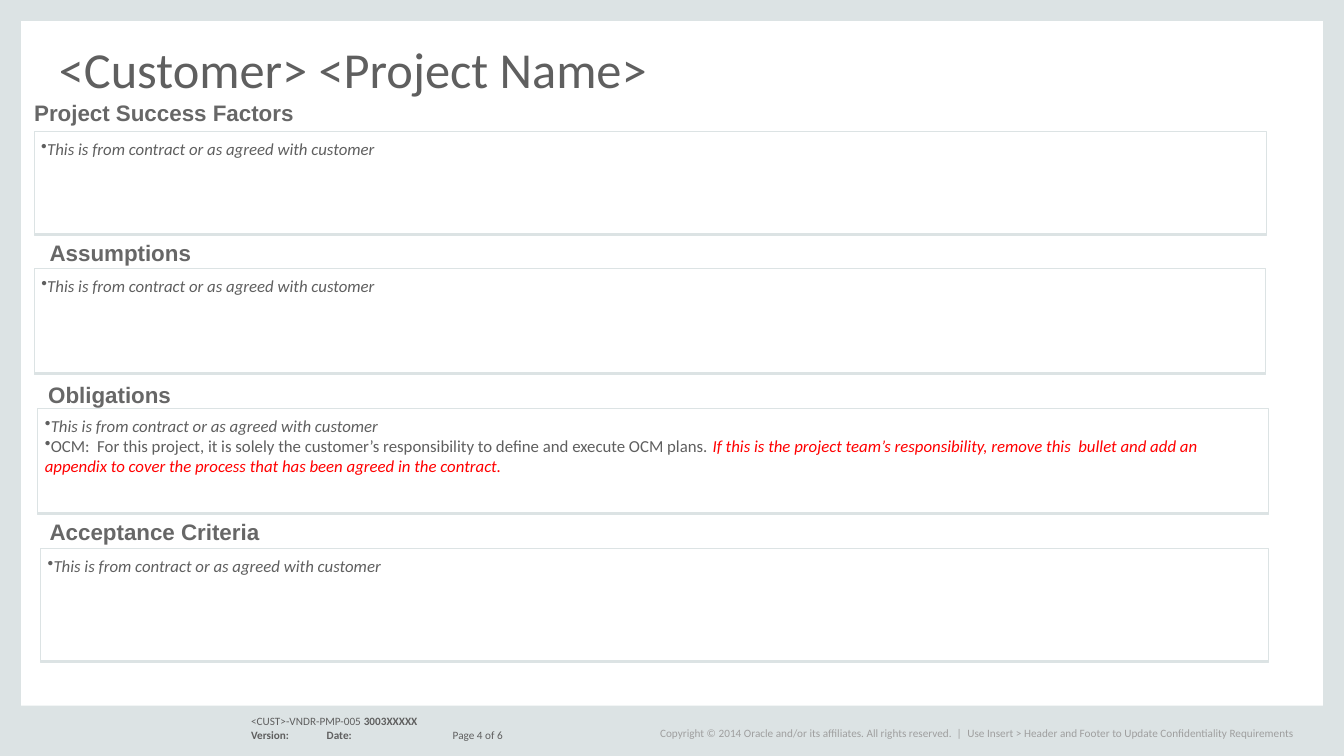
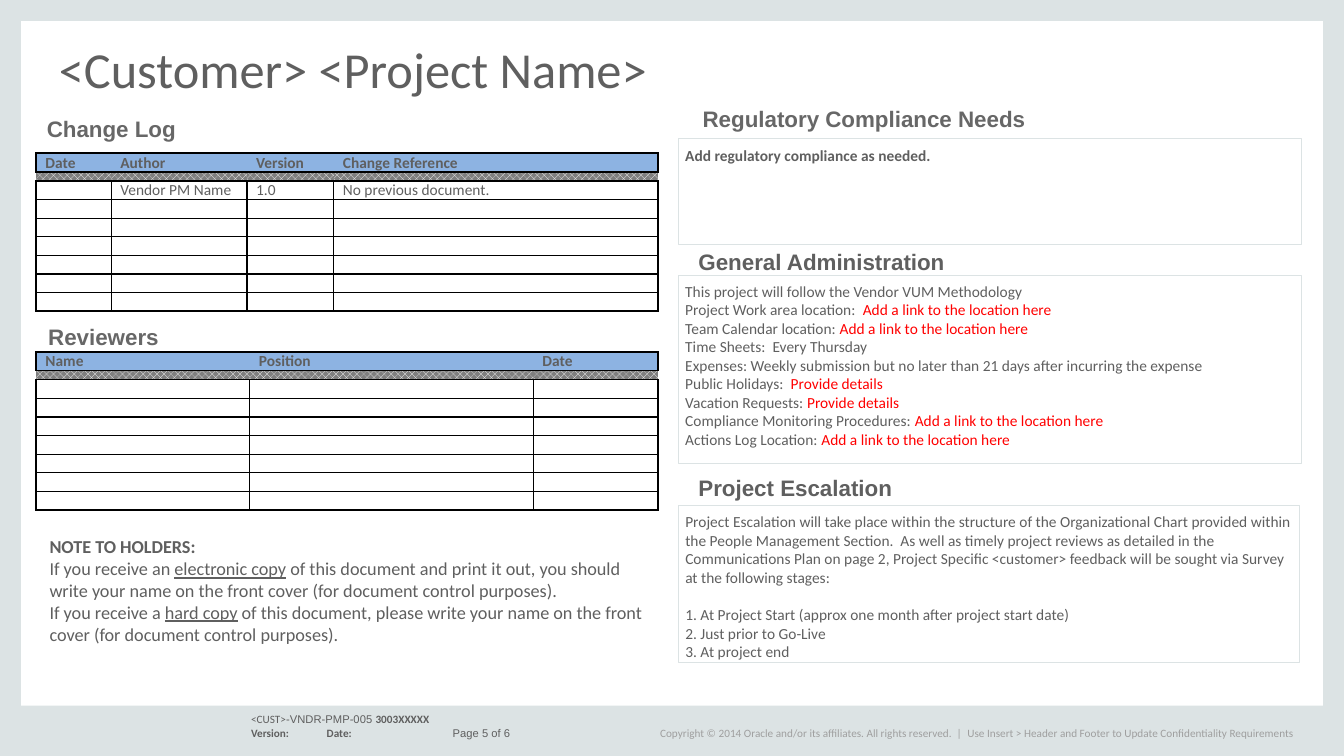
from lxml import etree
from pptx import Presentation
from pptx.dml.color import RGBColor
from pptx.enum.dml import MSO_PATTERN
from pptx.enum.shapes import MSO_SHAPE
from pptx.enum.text import MSO_ANCHOR
from pptx.oxml.ns import qn
from pptx.util import Pt

RECTANGLE = MSO_SHAPE.RECTANGLE
TOP, MIDDLE, BOTTOM = MSO_ANCHOR.TOP, MSO_ANCHOR.MIDDLE, MSO_ANCHOR.BOTTOM
HALF_TONE = MSO_PATTERN.PERCENT_50
BLANK_LAYOUT = 6


def rgb(value):
    return RGBColor.from_string(value)


def format_run(run, size, font, color, bold=False, italic=False, underline=False):
    run.font.size = Pt(size)
    run.font.name = font
    run.font.color.rgb = rgb(color)
    run.font.bold = bold
    run.font.italic = italic
    run.font.underline = underline


def write(frame, paragraphs, bullet=None, tabs=(), gaps=None, line_spacing=None, **style):
    """Each paragraph is a string or a list of strings and (text, overrides) pairs."""
    for index, runs in enumerate(paragraphs):
        paragraph = frame.paragraphs[0] if index == 0 else frame.add_paragraph()
        properties = paragraph._p.get_or_add_pPr()
        if bullet:
            properties.set("marL", "0")
            properties.set("indent", "0")
            etree.SubElement(properties, qn("a:buChar"), char=bullet)
        if tabs:
            tab_list = etree.SubElement(properties, qn("a:tabLst"))
            for position in tabs:
                etree.SubElement(tab_list, qn("a:tab"), pos=str(Pt(position)), algn="l")
        if line_spacing:
            paragraph.line_spacing = line_spacing
        if gaps and index in gaps:
            paragraph.space_before = Pt(gaps[index])
        for part in [runs] if isinstance(runs, str) else runs:
            text, overrides = (part, {}) if isinstance(part, str) else part
            run = paragraph.add_run()
            run.text = text
            format_run(run, **{**style, **overrides})


def set_borders(cell, left, right, top, bottom):
    properties = cell._tc.get_or_add_tcPr()
    sides = {"a:lnL": left, "a:lnR": right, "a:lnT": top, "a:lnB": bottom}
    for index, (tag, width) in enumerate(sides.items()):
        line = etree.Element(qn(tag), w=str(Pt(width)))
        if width:
            fill = etree.SubElement(line, qn("a:solidFill"))
            etree.SubElement(fill, qn("a:srgbClr"), val="000000")
        else:
            etree.SubElement(line, qn("a:noFill"))
        properties.insert(index, line)


class Deck:
    BODY_FONT, HEADING_FONT = "Calibri", "Arial"
    TEXT, HEADING, MUTED, RED = "5F5F5F", "676767", "9F9F9F", "FF0000"
    BAND, WHITE, TABLE_HEAD, HATCH = "DCE3E4", "FFFFFF", "8DB3E2", "7F7F7F"
    WIDTH, HEIGHT = 960, 540
    ROW, DIVIDER_ROW = 13.3, 6.5
    THIN, THICK = 1, 1.5

    def __init__(self):
        self.presentation = Presentation()
        self.presentation.slide_width = Pt(self.WIDTH)
        self.presentation.slide_height = Pt(self.HEIGHT)
        self.slide = None

    def new_slide(self, title, page, **footer):
        layout = self.presentation.slide_layouts[BLANK_LAYOUT]
        self.slide = self.presentation.slides.add_slide(layout)
        self.frame_bands()
        self.text(42, 0, 876, 70, [title], size=36, anchor=BOTTOM, line_spacing=0.8)
        self.footer(page, **footer)

    # Frame and footer
    def frame_bands(self):
        side, foot = 15, 36
        for area in ((0, 0, side, self.HEIGHT),
                     (self.WIDTH - side, 0, side, self.HEIGHT),
                     (0, self.HEIGHT - foot, self.WIDTH, foot),
                     (0, 0, self.WIDTH, side)):
            self.rectangle(*area, self.BAND)

    def footer(self, page, top, code_font):
        light = {"font": code_font, "bold": False}
        self.text(170, top, 304, 29, [
            [("<CUST>", {"bold": False}), ("-VNDR-PMP-005 ", light), "3003XXXXX"],
            ["Version:\tDate:\t", (f"Page {page} of 6", light)],
        ], size=8, bold=True, inset=(9.4, 5), tabs=(54, 144))
        for left, width, text in (
                (471.5, 219, "Copyright © 2014 Oracle and/or its affiliates. All rights reserved.  |"),
                (691, 245, "Use Insert > Header and Footer to Update Confidentiality Requirements")):
            self.text(left, 516.5, width, 14, [text], size=8, color=self.MUTED, anchor=MIDDLE)

    # Text and shapes
    def fill_frame(self, frame, paragraphs, inset=(0, 0), anchor=TOP, **style):
        frame.word_wrap = True
        frame.vertical_anchor = anchor
        frame.margin_left = frame.margin_right = Pt(inset[0])
        frame.margin_top = frame.margin_bottom = Pt(inset[1])
        write(frame, paragraphs, **{"font": self.BODY_FONT, "color": self.TEXT, **style})

    def text(self, left, top, width, height, paragraphs, **style):
        box = self.slide.shapes.add_textbox(Pt(left), Pt(top), Pt(width), Pt(height))
        self.fill_frame(box.text_frame, paragraphs, **style)

    def heading(self, left, top, text, color=HEADING):
        self.text(left, top, 328, 29, [text], size=16, font=self.HEADING_FONT,
                  color=color, bold=True, inset=(9.4, 5))

    def rectangle(self, left, top, width, height, fill):
        shape = self.slide.shapes.add_shape(RECTANGLE, Pt(left), Pt(top), Pt(width), Pt(height))
        shape.shadow.inherit = False
        shape.fill.solid()
        shape.fill.fore_color.rgb = rgb(fill)
        shape.line.fill.background()
        return shape

    def panel(self, left, top, width, height, paragraphs, shadow=False, **style):
        shape = self.rectangle(left, top, width, height, self.WHITE)
        shape.line.color.rgb = rgb(self.BAND)
        shape.line.width = Pt(0.75)
        if shadow:
            effects = shape._element.spPr.find(qn("a:effectLst"))
            outer = etree.SubElement(effects, qn("a:outerShdw"), blurRad="0", dist=str(Pt(1)),
                                     dir="5400000", algn="t", rotWithShape="0")
            etree.SubElement(outer, qn("a:srgbClr"), val=self.BAND)
        self.fill_frame(shape.text_frame, paragraphs, inset=(5, 5), **style)
        # Inherited centring is overridden for every paragraph
        for paragraph in shape.text_frame.paragraphs:
            paragraph._p.get_or_add_pPr().set("algn", "l")

    # Tables: header, hatched divider, body rows
    def table(self, left, top, widths, header, first_row=(), body_rows=7):
        row_count = body_rows + 2
        heights = [self.ROW, self.DIVIDER_ROW] + [self.ROW] * body_rows
        table = self.slide.shapes.add_table(
            row_count, len(widths), Pt(left), Pt(top), Pt(sum(widths)), Pt(sum(heights))).table
        table.horz_banding = False
        for column, width in zip(table.columns, widths):
            column.width = Pt(width)
        contents = {0: header, 2: first_row}
        for row_index, height in enumerate(heights):
            table.rows[row_index].height = Pt(height)
            texts = contents.get(row_index) or [""] * len(widths)
            for column_index, text in enumerate(texts):
                cell = table.cell(row_index, column_index)
                self.cell_text(cell, text, bold=row_index == 0)
                self.cell_fill(cell, row_index)
                self.cell_borders(cell, row_index, row_index == row_count - 1,
                                  column_index == 0, column_index == len(widths) - 1)

    def cell_text(self, cell, text, bold):
        cell.margin_left = cell.margin_right = Pt(6.5)
        cell.margin_top = cell.margin_bottom = 0
        cell.vertical_anchor = MIDDLE
        if text:
            write(cell.text_frame, [text], size=11, font=self.BODY_FONT,
                  color=self.TEXT, bold=bold)
        else:
            etree.SubElement(cell.text_frame.paragraphs[0]._p, qn("a:endParaRPr"), sz="400")

    def cell_fill(self, cell, row_index):
        if row_index == 0:
            cell.fill.solid()
            cell.fill.fore_color.rgb = rgb(self.TABLE_HEAD)
        elif row_index == 1:
            cell.fill.patterned()
            cell.fill.pattern = HALF_TONE
            cell.fill.fore_color.rgb = rgb(self.WHITE)
            cell.fill.back_color.rgb = rgb(self.HATCH)
        else:
            cell.fill.background()

    def cell_borders(self, cell, row_index, is_last_row, is_first_column, is_last_column):
        inner = self.THIN if row_index > 1 else 0
        outer = 0 if row_index == 1 else self.THICK
        set_borders(cell,
                    left=outer if is_first_column else inner,
                    right=outer if is_last_column else inner,
                    top=self.THICK if row_index == 0 else self.THIN,
                    bottom=self.THICK if is_last_row else self.THIN)


def build_success_slide(deck, title):
    deck.new_slide(title, 4, top=505.5, code_font=deck.BODY_FONT)
    agreed = [("This is from contract or as agreed with customer", {"italic": True})]
    change_management = [
        "OCM:  For this project, it is solely the customer’s responsibility to define "
        "and execute OCM plans. ",
        ("If this is the project team’s responsibility, remove this  bullet and add an appendix "
         "to cover the process that has been agreed in the contract.",
         {"color": deck.RED, "italic": True})]
    sections = (
        ("Project Success Factors", (15, 66), (24.5, 94, 880, 73), [agreed]),
        ("Assumptions", (26, 166), (24.5, 192, 879.5, 74.5), [agreed]),
        ("Obligations", (25, 267.5), (27, 292, 879, 74.5), [agreed, change_management]),
        ("Acceptance Criteria", (26, 365), (29, 392, 877, 80), [agreed]),
    )
    for name, position, area, paragraphs in sections:
        deck.panel(*area, paragraphs, shadow=True, bullet="•", size=12)
        deck.heading(*position, name)


def build_control_slide(deck, title):
    deck.new_slide(title, 5, top=504, code_font=deck.HEADING_FONT)

    # Left column: document control
    deck.heading(24, 77, "Change Log")
    deck.table(26, 109.5, (53.5, 97, 62, 231.5),
               ("Date", "Author", "Version", "Change Reference"),
               ("", "Vendor PM Name", "1.0", "No previous document."))
    deck.heading(25, 226, "Reviewers")
    deck.table(26, 251.5, (152.5, 202.5, 89), ("Name", "Position", "Date"))
    deck.text(26, 377.5, 448, 88.5, [
        [("NOTE TO HOLDERS:", {"bold": True})],
        ["If you receive an ", ("electronic copy", {"underline": True}),
         " of this document and print it out, you should write your name on the front cover "
         "(for document control purposes)."],
        ["If you receive a ", ("hard copy", {"underline": True}),
         " of this document, please write your name on the front cover "
         "(for document control purposes)."],
    ], size=13, anchor=MIDDLE, inset=(9.4, 5))

    # Right column: compliance, administration, escalation
    deck.heading(492.5, 70, "Regulatory Compliance Needs")
    deck.panel(484.5, 99, 445.5, 75.5, ["Add regulatory compliance as needed."],
               size=11, bold=True)

    link = ("Add a link to the location here", {"color": deck.RED})
    details = ("Provide details", {"color": deck.RED})
    deck.heading(489.5, 172, "General Administration", deck.TEXT)
    deck.panel(484.5, 196.5, 445.5, 134.5, [
        "This project will follow the Vendor VUM Methodology",
        ["Project Work area location:  ", link],
        ["Team Calendar location: ", link],
        "Time Sheets:  Every Thursday",
        "Expenses: Weekly submission but no later than 21 days after incurring the expense",
        ["Public Holidays:  ", details],
        ["Vacation Requests: ", details],
        ["Compliance Monitoring Procedures: ", link],
        ["Actions Log Location: ", link],
    ], size=11)

    deck.heading(489.5, 333.5, "Project Escalation", deck.TEXT)
    deck.panel(484.5, 361, 444, 112, [
        "Project Escalation will take place within the structure of the Organizational Chart "
        "provided within the People Management Section.  As well as timely project reviews as "
        "detailed in the Communications Plan on page 2, Project Specific <customer> feedback "
        "will be sought via Survey at the following stages:",
        "1. At Project Start (approx one month after project start date)",
        "2. Just prior to Go-Live",
        "3. At project end",
    ], size=11, gaps={1: 13.4})


def main():
    deck = Deck()
    title = "<Customer> <Project Name>"
    build_success_slide(deck, title)
    build_control_slide(deck, title)
    deck.presentation.save("out.pptx")


if __name__ == "__main__":
    main()
